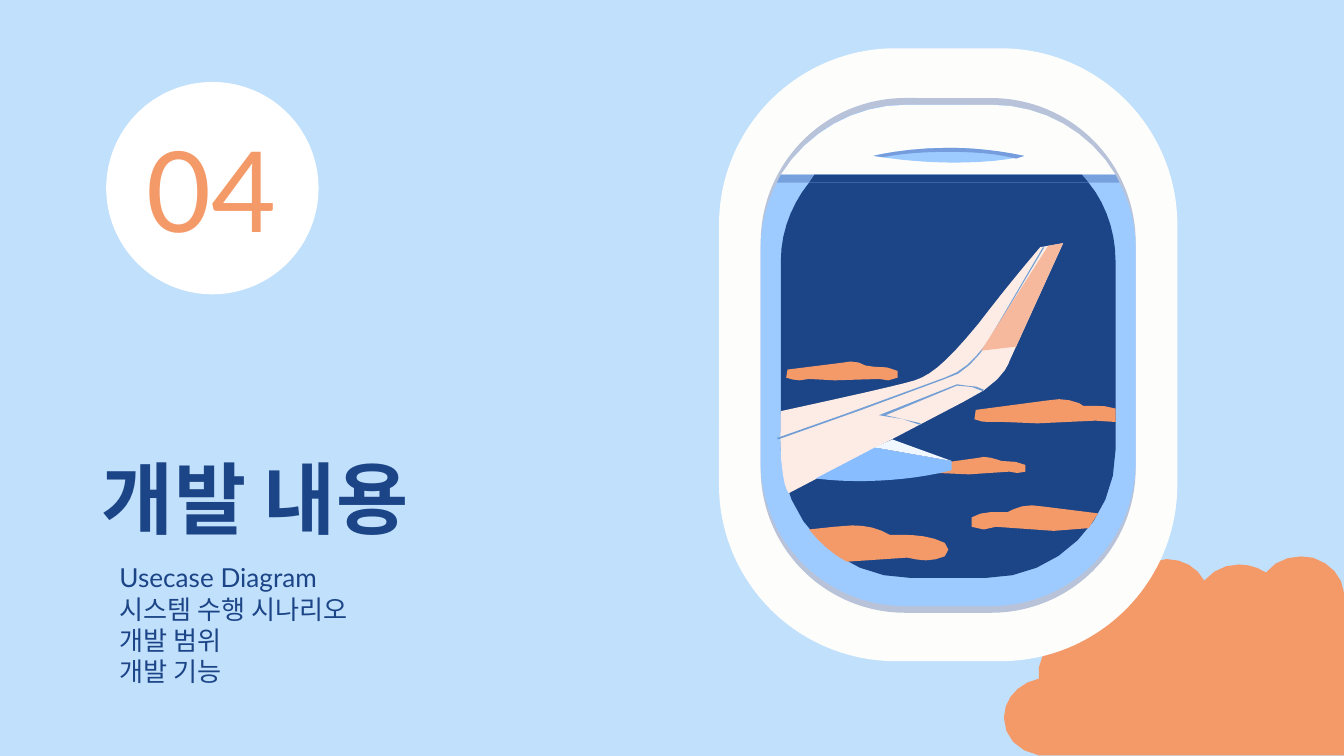
from dataclasses import dataclass
from math import dist

from pptx import Presentation
from pptx.dml.color import RGBColor
from pptx.enum.shapes import MSO_SHAPE
from pptx.enum.text import MSO_ANCHOR, PP_ALIGN
from pptx.util import Pt


@dataclass(frozen=True)
class Theme:
    font: str = "Lato"
    title_size: int = 42
    number_size: int = 60
    body_size: int = 14
    sky: RGBColor = RGBColor.from_string("C1E0FB")
    navy: RGBColor = RGBColor.from_string("1C4587")
    orange: RGBColor = RGBColor.from_string("F49968")
    white: RGBColor = RGBColor.from_string("FFFFFF")
    frame: RGBColor = RGBColor.from_string("FDFDFB")
    rim: RGBColor = RGBColor.from_string("B8C3D9")
    glass: RGBColor = RGBColor.from_string("9DCAFF")
    shade_edge: RGBColor = RGBColor.from_string("77A1DC")
    handle_edge: RGBColor = RGBColor.from_string("759DDD")
    wing: RGBColor = RGBColor.from_string("FDECE5")
    wing_tip: RGBColor = RGBColor.from_string("F6B99D")
    wing_line: RGBColor = RGBColor.from_string("719ED4")
    engine: RGBColor = RGBColor.from_string("88BEFF")
    engine_top: RGBColor = RGBColor.from_string("F1F7FF")


def paint(shape, color):
    shape.shadow.inherit = False
    shape.fill.solid()
    shape.fill.fore_color.rgb = color
    shape.line.fill.background()


def draw_outline(shapes, path, color, unit=0.72):
    """Draw a closed M/L/C path given in units of 0.72 pt; longer curves get more chords."""
    points, numbers, command = [], [], "M"
    for token in path.split():
        if token.isalpha():
            command = token
            continue
        numbers.append(float(token) * unit)
        if len(numbers) < (6 if command == "C" else 2):
            continue
        pairs = list(zip(numbers[::2], numbers[1::2]))
        numbers = []
        if command == "C":
            curve = [points[-1]] + pairs
            steps = min(8, 1 + int(dist(curve[0], curve[3]) / 7))
            for step in range(1, steps + 1):
                t = step / steps
                weights = ((1 - t) ** 3, 3 * t * (1 - t) ** 2, 3 * t * t * (1 - t), t ** 3)
                points.append(tuple(sum(w * p[axis] for w, p in zip(weights, curve))
                                    for axis in (0, 1)))
        else:
            points += pairs
    corners = [(Pt(x), Pt(y)) for x, y in points]
    builder = shapes.build_freeform(*corners[0], scale=1.0)
    builder.add_line_segments(corners[1:], close=True)
    paint(builder.convert_to_shape(), color)


theme = Theme()
presentation = Presentation()
presentation.slide_width, presentation.slide_height = Pt(720), Pt(405)
slide = presentation.slides.add_slide(presentation.slide_layouts[6])
slide.background.fill.solid()
slide.background.fill.fore_color.rgb = theme.sky

corner_cloud = """M 968 414 C 958 414 948 418 942 426 936 422 929 420 922 420
    912 420 903 424 896 432 891 422 880 416 868 416 L 863 417
    C 849 419 839 429 837 441 831 436 823 434 816 434 809 434 802 436 796 440
    784 449 781 464 788 476 777 482 771 494 773 505 758 508 747 520 747 534
    747 548 757 559 773 562 L 1000 562 1000 441
    C 999 429 990 419 977 415"""
draw_outline(slide.shapes, corner_cloud, theme.orange)

# Window frame, rim and glass: left, top, width, height, corner radius, colour
window = slide.shapes.add_group_shape().shapes
for left, top, width, height, radius, color in (
    (385.2, 25.92, 245.52, 328.32, 94.5, theme.frame),
    (407.52, 52.56, 200.88, 275.76, 77.4, theme.rim),
    (407.52, 56.16, 200.88, 268.56, 77.4, theme.glass),
):
    pane = window.add_shape(MSO_SHAPE.ROUNDED_RECTANGLE, Pt(left), Pt(top), Pt(width), Pt(height))
    pane.adjustments[0] = radius / width
    paint(pane, color)

night_sky = """M 602 136 C 589 152 581 173 581 194 L 581 335 C 582 387 624 430 677 430
    L 734 430 C 787 430 830 387 830 335 L 830 194 C 830 173 823 152 810 136"""
shade = "M 674 78 C 636 78 601 98 581 130 L 830 130 C 811 98 776 78 738 78"
handle = """M 706 110 C 673 110 650 116 650 116 674 120 695 121 712 121
    745 121 762 116 762 116 742 112 722 110 706 110"""
shade_edge = "M 581 130 L 578 136 833 136 830 130"
shade_gap = "M 805 130 L 606 130 602 136 810 136"
handle_edge = """M 706 110 C 673 110 650 116 650 116 L 657 117
    C 672 114 688 113 706 113 724 113 740 114 756 118 L 762 116
    C 743 112 725 110 706 110"""
cloud_left = """M 633 269 L 626 270 586 275 C 584 276 583 280 585 281
    588 282 591 283 595 283 L 602 282 621 283 654 282 661 283
    C 663 283 666 282 668 281 670 280 669 277 668 276 663 273 657 273 651 273
    L 644 272 C 641 270 637 269 633 269"""
cloud_engine = """M 732 340 L 726 341 690 346 C 688 346 688 349 689 350
    692 352 695 352 698 352 L 721 353 751 351 757 352
    C 759 352 761 352 763 351 765 350 765 347 763 346 759 344 754 343 745 343
    L 742 342 C 739 341 735 340 732 340"""
wing = """M 791 181 L 774 184 C 774 184 750 212 728 241 705 269 693 279 681 283
    669 287 581 306 581 306 579 361 587 367 587 367 L 717 299
    C 747 285 751 269 751 269"""
wing_seam = """M 776 184 L 735 254 C 732 258 723 271 712 277
    L 703 281 629 308 578 326 579 327 641 305 703 282 713 278
    C 725 271 735 255 735 255 L 777 184"""
wing_tip = "M 791 181 L 780 183 730 261 756 258"
wing_flap = """M 712 286 L 654 309 672 312 684 316 685 315 659 309 712 287 723 288
    731 291 732 290 C 729 288 724 287 719 287"""
engine = """M 651 333 L 607 356 C 607 356 620 358 639 358 659 358 684 356 708 350
    L 708 343"""
engine_top = "M 664 327 L 651 333 708 343"
cloud_right = """M 788 297 L 779 298 726 305 C 723 305 723 311 725 312
    729 314 733 314 738 314 L 747 314 772 315 815 313 830 314 830 304
    C 825 302 819 302 814 302 L 806 302 803 300 C 798 298 793 297 788 297"""
cloud_low_left = """M 634 391 L 621 392 602 394 C 610 404 619 412 630 418
    L 675 415 C 680 416 684 417 689 417 694 417 698 416 703 414
    707 412 706 406 703 404 693 399 682 398 670 398 L 662 398 656 395
    C 649 392 642 391 634 391"""
cloud_low_right = """M 768 376 C 763 376 758 377 754 379 L 750 381 744 381
    C 737 381 729 381 723 385 720 386 720 390 723 392 725 393 729 394 732 394
    L 741 392 784 395 810 393 817 382 777 377"""

for path, color in (
    (night_sky, theme.navy),
    (shade, theme.frame),
    (handle, theme.glass),
    (shade_edge, theme.shade_edge),
    (shade_gap, theme.navy),
    (handle_edge, theme.handle_edge),
    (cloud_left, theme.orange),
    (cloud_engine, theme.orange),
    (wing, theme.wing),
    (wing_seam, theme.wing_line),
    (wing_tip, theme.wing_tip),
    (wing_flap, theme.wing_line),
    (engine, theme.engine),
    (engine_top, theme.engine_top),
    (cloud_right, theme.orange),
    (cloud_low_left, theme.orange),
    (cloud_low_right, theme.orange),
):
    draw_outline(window, path, color)

badge = slide.shapes.add_shape(MSO_SHAPE.OVAL, Pt(56.88), Pt(43.92), Pt(113.76), Pt(113.76))
paint(badge, theme.white)

# Texts: lines, left, top, width, height, anchor, alignment, size, bold, colour
topics = "Usecase Diagram\n시스템 수행 시나리오\n개발 범위\n개발 기능"
for text, left, top, width, height, anchor, alignment, size, bold, color in (
    ("개발 내용", 47.52, 232.56, 345.6, 66.24, MSO_ANCHOR.BOTTOM, PP_ALIGN.LEFT,
     theme.title_size, True, theme.navy),
    ("04", 63.36, 43.92, 100.08, 113.76, MSO_ANCHOR.MIDDLE, PP_ALIGN.CENTER,
     theme.number_size, False, theme.orange),
    (topics, 56.88, 293.76, 236.16, 82.08, MSO_ANCHOR.TOP, PP_ALIGN.LEFT,
     theme.body_size, False, theme.navy),
):
    text_frame = slide.shapes.add_textbox(Pt(left), Pt(top), Pt(width), Pt(height)).text_frame
    text_frame.word_wrap = True
    text_frame.vertical_anchor = anchor
    text_frame.margin_left = text_frame.margin_right = Pt(7.2)
    text_frame.margin_top = text_frame.margin_bottom = Pt(7.2)
    text_frame.text = text
    for paragraph in text_frame.paragraphs:
        paragraph.alignment = alignment
        for run in paragraph.runs:
            run.font.name = theme.font
            run.font.size = Pt(size)
            run.font.bold = bold
            run.font.color.rgb = color

presentation.save("out.pptx")
